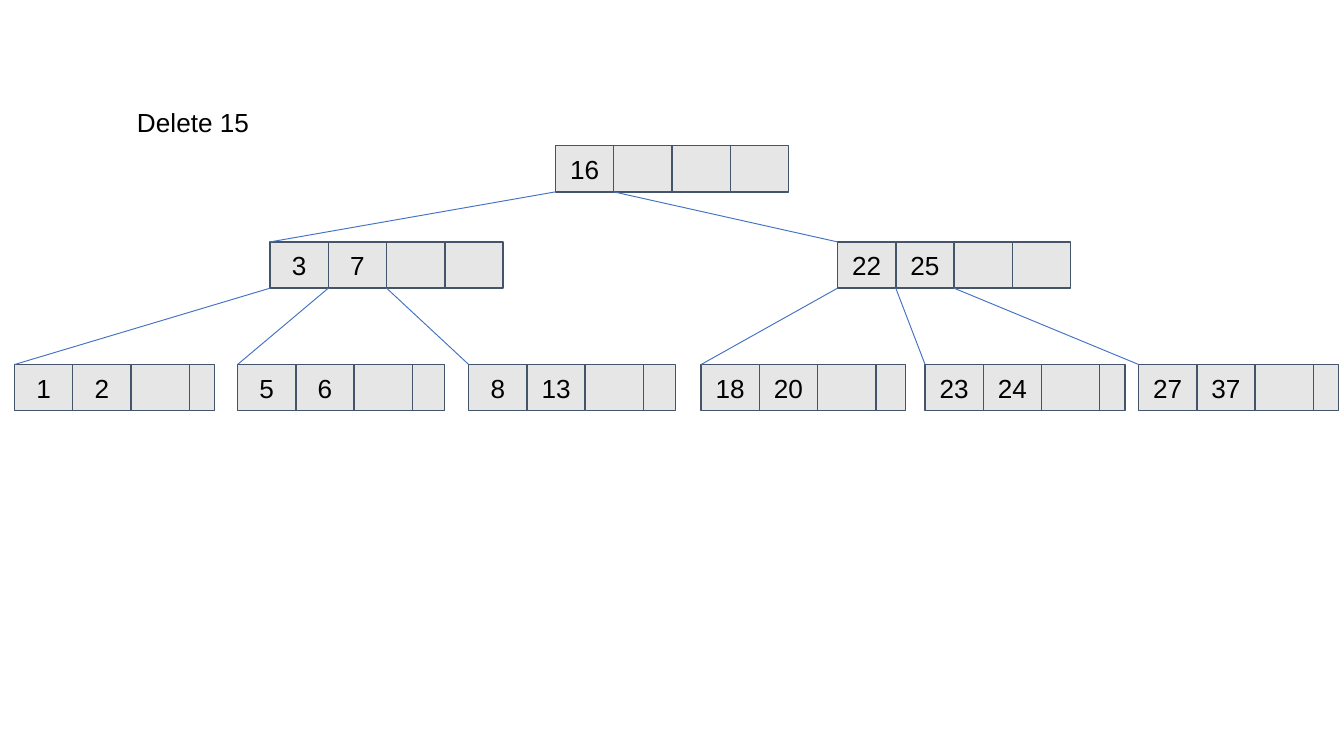
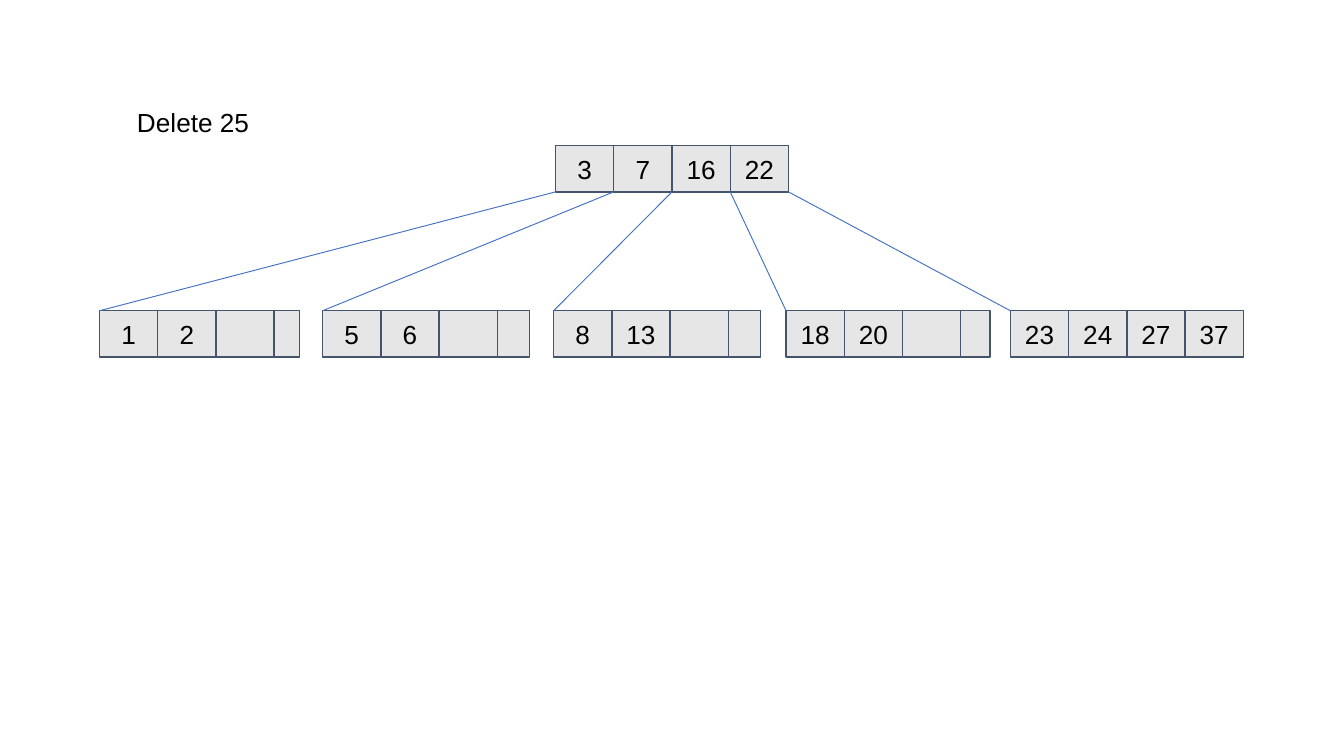
from dataclasses import dataclass
from lxml import etree
from pptx import Presentation
from pptx.dml.color import RGBColor
from pptx.enum.shapes import MSO_CONNECTOR, MSO_SHAPE
from pptx.enum.text import MSO_ANCHOR, MSO_AUTO_SIZE, PP_ALIGN
from pptx.oxml.ns import qn
from pptx.util import Pt

RECT = MSO_SHAPE.RECTANGLE
STRAIGHT = MSO_CONNECTOR.STRAIGHT
LEFT, CENTER = PP_ALIGN.LEFT, PP_ALIGN.CENTER
TOP, MIDDLE = MSO_ANCHOR.TOP, MSO_ANCHOR.MIDDLE
GROW = MSO_AUTO_SIZE.SHAPE_TO_FIT_TEXT
TITLE_ONLY = 5


@dataclass(frozen=True)
class Theme:
    fill: RGBColor = RGBColor.from_string("E7E6E6")
    border: RGBColor = RGBColor.from_string("44546A")
    edge: RGBColor = RGBColor.from_string("4472C4")
    text: RGBColor = RGBColor.from_string("000000")
    font: str = "Arial"
    size: float = 14
    border_width: float = 0.75
    edge_width: float = 0.5


@dataclass(frozen=True)
class Node:
    x: float
    keys: tuple
    last: float = 31.2
    children: tuple = ()


THEME = Theme()
CELL_W, CELL_H, SLOTS = 31.2, 24.8, 4
TITLE_BOX = (66.2, 53.3, 74.9, 24.5)
ROOT_X, ROOT_Y = 297.6, 78
LEAF_SHIFT = 45.5


def style_text(tf, align, anchor):
    tf.vertical_anchor = anchor
    for p in tf.paragraphs:
        p.alignment = align
        for r in p.runs:
            r.font.name = THEME.font
            r.font.size = Pt(THEME.size)
            r.font.color.rgb = THEME.text


def add_title(slide, text, box):
    sp = slide.shapes.title
    sp.left, sp.top, sp.width, sp.height = map(Pt, box)
    tf = sp.text_frame
    tf.text = text
    tf.word_wrap = False
    tf.auto_size = GROW
    style_text(tf, LEFT, TOP)


def add_cell(slide, x, y, width, key):
    sp = slide.shapes.add_shape(RECT, Pt(x), Pt(y), Pt(width), Pt(CELL_H))
    sp.shadow.inherit = False
    sp.fill.solid()
    sp.fill.fore_color.rgb = THEME.fill
    sp.line.color.rgb = THEME.border
    sp.line.width = Pt(THEME.border_width)
    if key is not None:
        sp.text_frame.text = str(key)
        style_text(sp.text_frame, CENTER, MIDDLE)


def add_edge(slide, x1, y1, x2, y2):
    line = slide.shapes.add_connector(STRAIGHT, Pt(x1), Pt(y1), Pt(x2), Pt(y2))
    line.line.color.rgb = THEME.edge
    line.line.width = Pt(THEME.edge_width)
    etree.SubElement(line._element.spPr, qn("a:effectLst"))


def add_node(slide, node, y):
    for i in range(SLOTS):
        key = node.keys[i] if i < len(node.keys) else None
        width = node.last if i == SLOTS - 1 else CELL_W
        add_cell(slide, node.x + i * CELL_W, y, width, key)


def add_tree(slide, root, levels):
    row, edges = [root], []
    for depth, y in enumerate(levels):
        for node in row:
            add_node(slide, node, y)
            for i, child in enumerate(node.children):
                edges.append((node.x + i * CELL_W, y + CELL_H,
                              child.x, levels[depth + 1]))
        row = [child for node in row for child in node.children]
    for edge in edges:
        add_edge(slide, *edge)


def add_tree_slide(prs, title, root, levels):
    slide = prs.slides.add_slide(prs.slide_layouts[TITLE_ONLY])
    add_title(slide, title, TITLE_BOX)
    add_tree(slide, root, levels)


def shared_leaves(shift=0):
    return (
        Node(7.8 + shift, (1, 2), 13.5),
        Node(127.3 + shift, (5, 6), 17.4),
        Node(251.1 + shift, (8, 13), 17.4),
        Node(375.6 + shift, (18, 20), 15.8),
    )


def tree_after_15():
    leaves = shared_leaves() + (
        Node(495.6, (23, 24), 13.5),
        Node(610, (27, 37), 13.5),
    )
    return Node(ROOT_X, (16,), children=(
        Node(144.7, (3, 7), children=leaves[:3]),
        Node(448.7, (22, 25), children=leaves[3:]),
    ))


def tree_after_25():
    leaves = shared_leaves(LEAF_SHIFT) + (Node(541.3, (23, 24, 27, 37)),)
    return Node(ROOT_X, (3, 7, 16, 22), children=leaves)


prs = Presentation()
prs.slide_width, prs.slide_height = Pt(720), Pt(405)
add_tree_slide(prs, "Delete 15", tree_after_15(), (ROOT_Y, 129.6, 195.3))
add_tree_slide(prs, "Delete 25", tree_after_25(), (ROOT_Y, 166.5))
prs.save("out.pptx")
